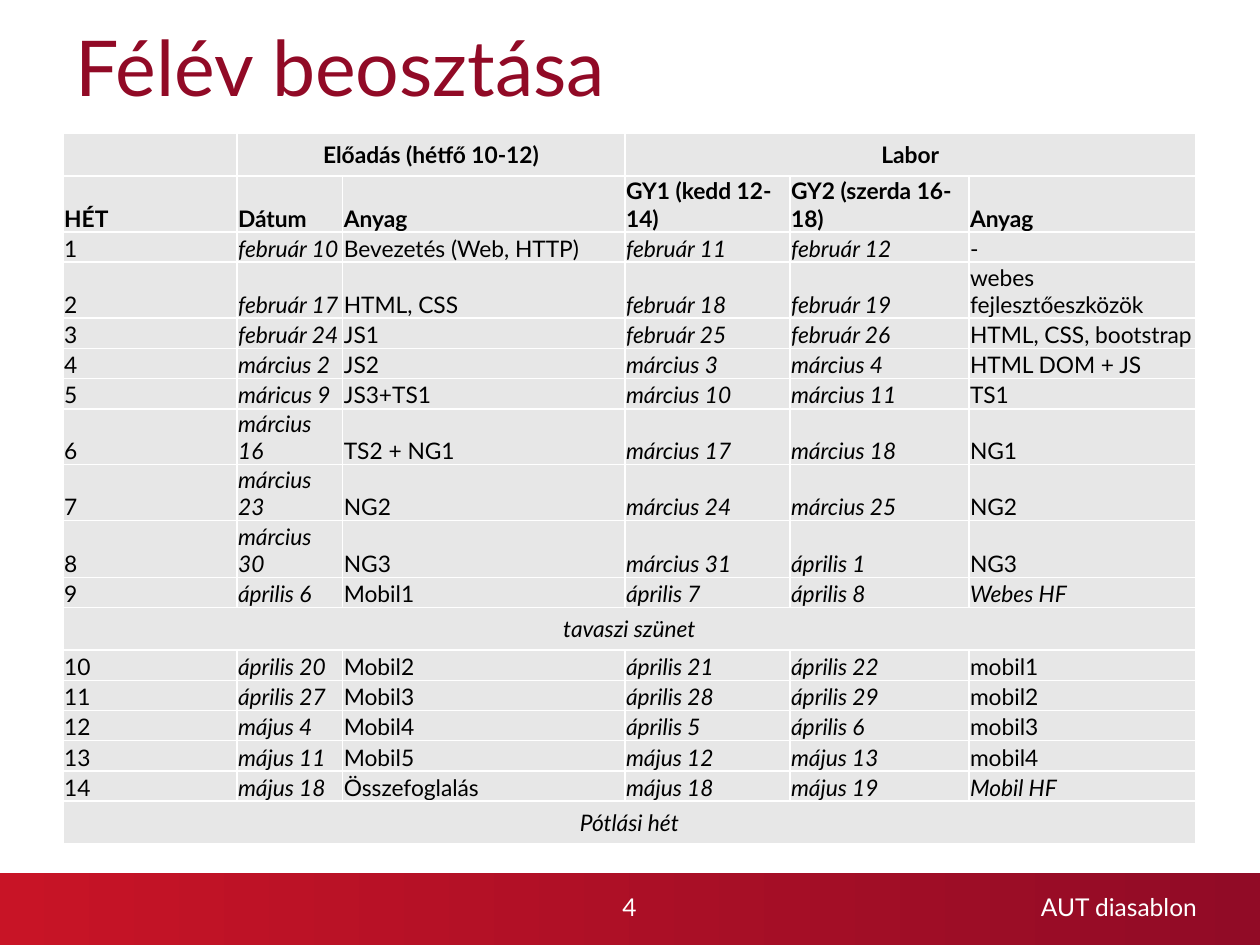
from lxml import etree
from pptx import Presentation
from pptx.dml.color import RGBColor
from pptx.enum import shapes, text
from pptx.oxml import ns
from pptx.util import Inches, Pt

FONT = "Lato"
CRIMSON = RGBColor(0x91, 0x0A, 0x26)
BAR_START = RGBColor(0xC8, 0x14, 0x26)
BAR_END = RGBColor(0x91, 0x0B, 0x26)
CELL_GREY = RGBColor(0xE7, 0xE7, 0xE7)
BLACK = RGBColor(0, 0, 0)
WHITE = RGBColor(0xFF, 0xFF, 0xFF)

TIGHT = (0.01, 0.01, 0.01, 0)
ROOMY = (0.12, 0.06, 0.12, 0.06)
COLUMN_WIDTHS = [1.38, 0.84, 2.24, 1.31, 1.42, 1.8]
ROW_HEIGHT = 0.24
TALL_ROW, TALL_HEIGHT = 9, 0.45
DATE_COLUMNS = (1, 3, 4)
HOMEWORK = ("Webes HF", "Mobil HF")

HEADINGS = ["HÉT", "Dátum", "Anyag", "GY1 (kedd 12-14)", "GY2 (szerda 16-18)", "Anyag"]
BEFORE_BREAK = [
    ["1", "február 10", "Bevezetés (Web, HTTP)", "február 11", "február 12", "-"],
    ["2", "február 17", "HTML, CSS", "február 18", "február 19", "webes fejlesztőeszközök"],
    ["3", "február 24", "JS1", "február 25", "február 26", "HTML, CSS, bootstrap"],
    ["4", "március 2", "JS2", "március 3", "március 4", "HTML DOM + JS"],
    ["5", "máricus 9", "JS3+TS1", "március 10", "március 11", "TS1"],
    ["6", "március 16", "TS2 + NG1", "március 17", "március 18", "NG1"],
    ["7", "március 23", "NG2", "március 24", "március 25", "NG2"],
    ["8", "március 30", "NG3", "március 31", "április 1", "NG3"],
    ["9", "április 6", "Mobil1", "április 7", "április 8", "Webes HF"],
]
AFTER_BREAK = [
    ["10", "április 20", "Mobil2", "április 21", "április 22", "mobil1"],
    ["11", "április 27", "Mobil3", "április 28", "április 29", "mobil2"],
    ["12", "május 4", "Mobil4", "április 5", "április 6", "mobil3"],
    ["13", "május 11", "Mobil5", "május 12", "május 13", "mobil4"],
    ["14", "május 18", "Összefoglalás", "május 18", "május 19", "Mobil HF"],
]
SPANNING_ROWS = {
    0: [(1, 2, "Előadás (hétfő 10-12)"), (3, 5, "Labor")],
    11: [(0, 5, "tavaszi szünet")],
    17: [(0, 5, "Pótlási hét")],
}
WEEK_ROWS = dict(enumerate([HEADINGS] + BEFORE_BREAK, start=1))
WEEK_ROWS.update(enumerate(AFTER_BREAK, start=12))


def format_runs(paragraph, size, color, bold=False, italic=False):
    for run in paragraph.runs:
        font = run.font
        font.name, font.size = FONT, Pt(size)
        font.bold, font.italic = bold, italic
        font.color.rgb = color


def set_margins(target, margins):
    left, top, right, bottom = (Inches(margin) for margin in margins)
    target.margin_left, target.margin_top = left, top
    target.margin_right, target.margin_bottom = right, bottom


def set_title(slide, wording):
    title = slide.shapes.title
    title.left, title.top = Inches(0.5), Inches(0.13)
    title.width, title.height = Inches(9), Inches(0.87)
    frame = title.text_frame
    frame.text = wording
    frame.vertical_anchor = text.MSO_ANCHOR.MIDDLE
    heading = frame.paragraphs[0]
    heading.alignment = text.PP_ALIGN.LEFT
    heading.line_spacing = 0.9
    format_runs(heading, 44, CRIMSON)


def add_footer_bar(slide):
    bar = slide.shapes.add_shape(shapes.MSO_SHAPE.RECTANGLE, Inches(-0.01), Inches(6.93),
                                 Inches(10.01), Inches(0.57))
    bar.shadow.inherit = False
    bar.line.fill.background()
    bar.fill.gradient()
    bar.fill.gradient_angle = 0
    for stop, color in zip(bar.fill.gradient_stops, (BAR_START, BAR_END)):
        stop.color.rgb = color


def add_footer_text(slide, wording, left, width, margins, alignment):
    footer = slide.shapes.add_textbox(Inches(left), Inches(7.03), Inches(width), Inches(0.34))
    frame = footer.text_frame
    frame.word_wrap = True
    frame.vertical_anchor = text.MSO_ANCHOR.MIDDLE
    set_margins(frame, margins)
    frame.text = wording
    frame.paragraphs[0].alignment = alignment
    format_runs(frame.paragraphs[0], 14, WHITE)


def add_borders(cell):
    properties = cell._tc.get_or_add_tcPr()
    for side in ("a:lnL", "a:lnR", "a:lnT", "a:lnB"):
        border = etree.SubElement(properties, ns.qn(side), w=str(Pt(1)))
        fill = etree.SubElement(border, ns.qn("a:solidFill"))
        etree.SubElement(fill, ns.qn("a:srgbClr"), val=str(WHITE))


def prepare_cell(cell):
    add_borders(cell)
    cell.fill.solid()
    cell.fill.fore_color.rgb = CELL_GREY
    cell.vertical_anchor = text.MSO_ANCHOR.BOTTOM
    set_margins(cell, TIGHT)


def write_cell(cell, wording, bold=False, italic=False):
    cell.text_frame.text = wording
    format_runs(cell.text_frame.paragraphs[0], 13, BLACK, bold, italic)


def add_schedule(slide):
    row_count = len(WEEK_ROWS) + len(SPANNING_ROWS)
    frame = slide.shapes.add_table(row_count, len(COLUMN_WIDTHS), Inches(0.5), Inches(1.06),
                                   Inches(9), Inches(4.86))
    schedule = frame.table
    for column, width in zip(schedule.columns, COLUMN_WIDTHS):
        column.width = Inches(width)
    for number, row in enumerate(schedule.rows):
        row.height = Inches(TALL_HEIGHT if number == TALL_ROW else ROW_HEIGHT)
    for cell in schedule.iter_cells():
        prepare_cell(cell)

    for number, entries in WEEK_ROWS.items():
        is_heading = entries is HEADINGS
        for column, entry in enumerate(entries):
            italic = not is_heading and (column in DATE_COLUMNS or entry in HOMEWORK)
            write_cell(schedule.cell(number, column), entry, is_heading, italic)

    for number, spans in SPANNING_ROWS.items():
        for first, last, wording in spans:
            cell = schedule.cell(number, first)
            cell.merge(schedule.cell(number, last))
            set_margins(cell, ROOMY)
            write_cell(cell, wording, bold=number == 0, italic=number > 0)
            cell.text_frame.paragraphs[0].alignment = text.PP_ALIGN.CENTER


def main():
    deck = Presentation()
    deck.slide_width, deck.slide_height = Inches(10), Inches(7.5)
    slide = deck.slides.add_slide(deck.slide_layouts[5])
    add_footer_bar(slide)
    set_title(slide, "Félév beosztása")
    add_footer_text(slide, "AUT diasablon", 5.42, 4.08, (0.1, 0.05, 0, 0.05),
                    text.PP_ALIGN.RIGHT)
    add_footer_text(slide, "4", 4.7, 0.59, (0.04, 0.05, 0.04, 0.05), text.PP_ALIGN.CENTER)
    add_schedule(slide)
    deck.save("out.pptx")


if __name__ == "__main__":
    main()
